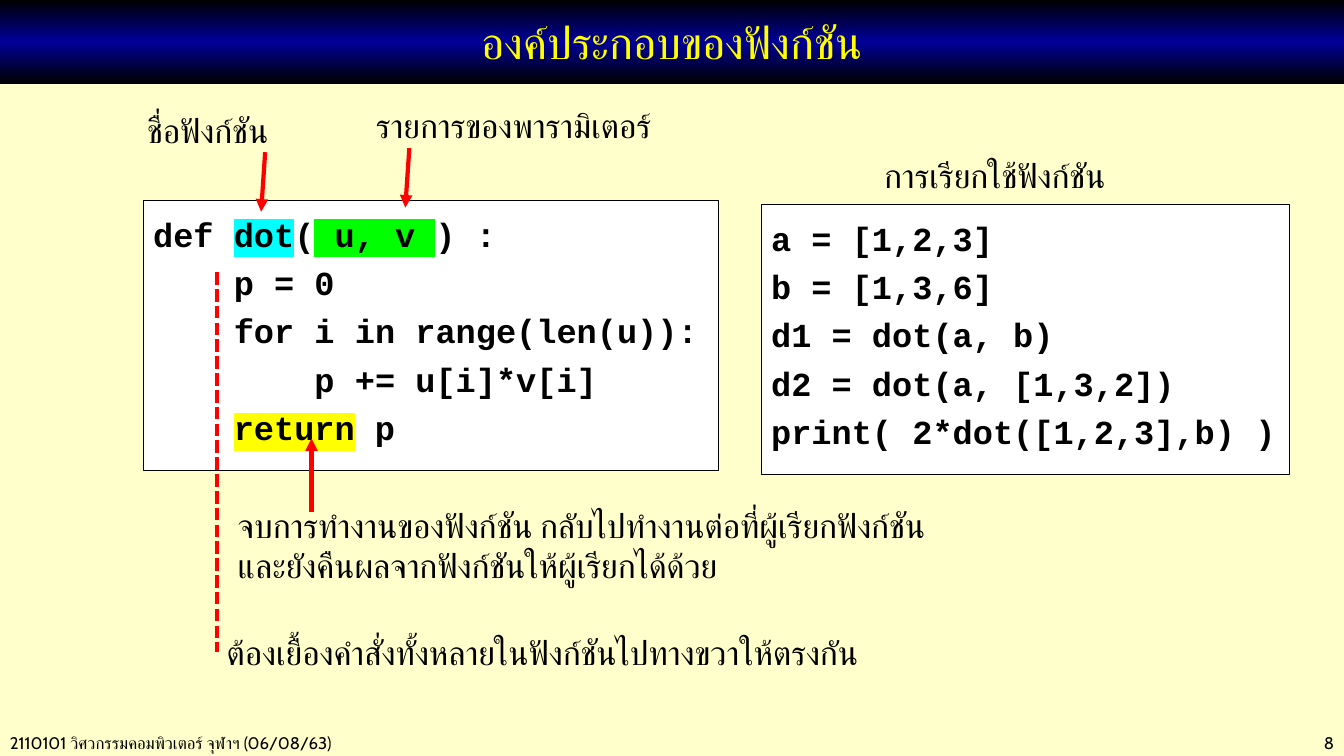
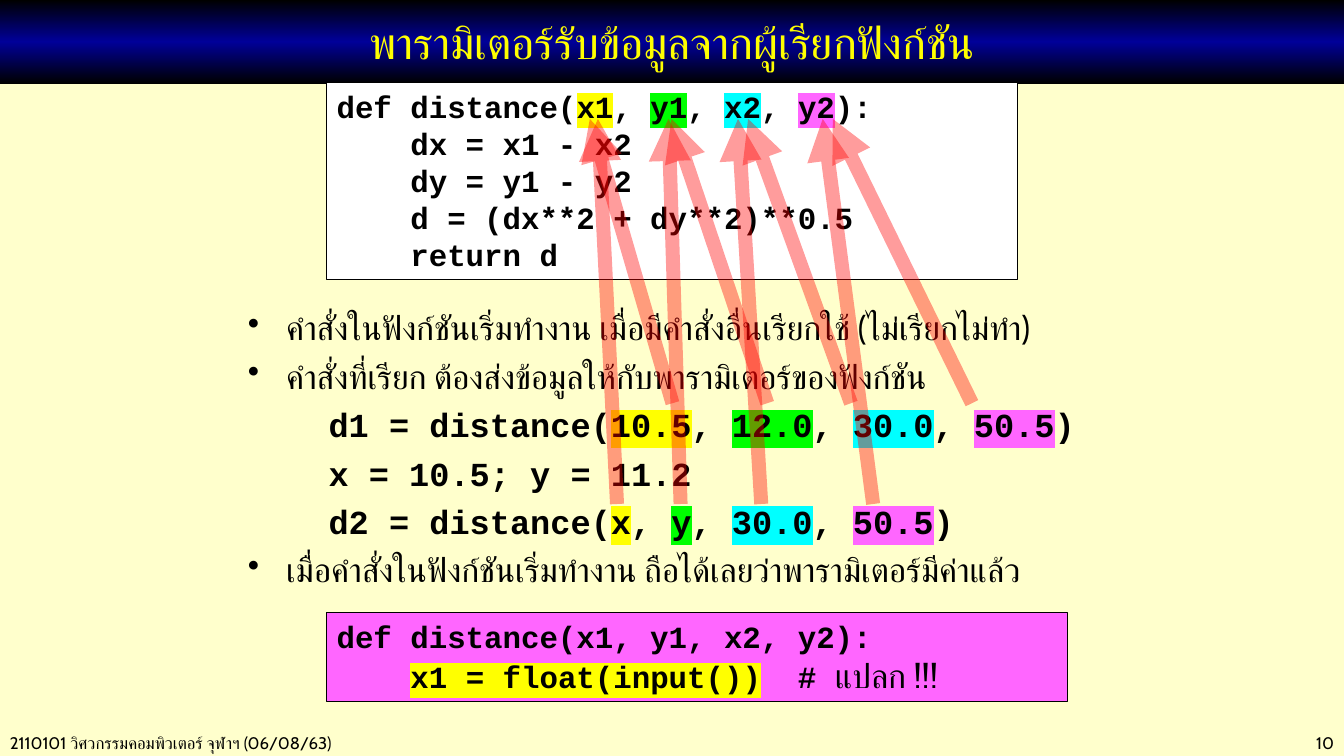
from lxml import etree
from pptx import Presentation
from pptx.dml.color import RGBColor
from pptx.enum.dml import MSO_LINE
from pptx.enum.shapes import MSO_CONNECTOR, MSO_SHAPE
from pptx.enum.text import MSO_ANCHOR, PP_ALIGN
from pptx.oxml.ns import qn
from pptx.util import Inches, Pt

BLACK, WHITE, RED, CREAM, NAVY = "000000", "FFFFFF", "FF0000", "FFFFCC", "000099"
YELLOW, GREEN, CYAN, PINK = "FFFF00", "00FF00", "00FFFF", "FF66FF"
rgb = RGBColor.from_string
CODE = {"font": "Courier New", "bold": True}


def add_box(page, at, fill=None):
    """Add a plain text box, or a black-edged rectangle if a fill is given."""
    place = [Inches(length) for length in at]
    if fill:
        box = page.shapes.add_shape(MSO_SHAPE.RECTANGLE, *place)
        box.shadow.inherit = False
        box.fill.solid()
        box.fill.fore_color.rgb = rgb(fill)
        box.line.color.rgb = rgb(BLACK)
        box.line.width = Pt(0.75)
    else:
        box = page.shapes.add_textbox(*place)
    box.text_frame.word_wrap = True
    box.text_frame.vertical_anchor = MSO_ANCHOR.TOP
    return box


def add_paragraph(box, *parts, font="Cabin", size=24, bold=False, color=BLACK,
                  align=PP_ALIGN.LEFT, spacing=1.0, bullet=False, indent=0):
    """Add a paragraph; each part is a string or a (string, highlight) pair."""
    frame = box.text_frame
    para = frame.paragraphs[0] if not frame.text else frame.add_paragraph()
    para.alignment = align
    para.line_spacing = spacing
    para.font.name = font
    para.font.size = Pt(size)
    para.font.bold = bold
    para.font.color.rgb = rgb(color)
    properties = para._p.pPr
    defaults = properties.find(qn("a:defRPr"))
    etree.SubElement(defaults, qn("a:cs"), typeface="Cabin")
    if indent:
        properties.set("marL", str(Inches(indent)))
    if bullet:
        properties.set("indent", str(-Inches(indent)))
        mark = etree.Element(qn("a:buChar"), char="•")
        defaults.addprevious(mark)
    for part in parts:
        text, highlight = (part, None) if isinstance(part, str) else part
        span = para.add_run()
        span.text = text
        if highlight:
            marker = etree.SubElement(span._r.get_or_add_rPr(), qn("a:highlight"))
            etree.SubElement(marker, qn("a:srgbClr"), val=highlight)
    return para


deck = Presentation()
deck.slide_width, deck.slide_height = Inches(13.33), Inches(7.5)
background = deck.slide_master.background.fill
background.solid()
background.fore_color.rgb = rgb(CREAM)

# Title band and footer on each page
pages = []
for title, number in [("องค์ประกอบของฟังก์ชัน", "8"),
                      ("พารามิเตอร์รับข้อมูลจากผู้เรียกฟังก์ชัน", "10")]:
    page = deck.slides.add_slide(deck.slide_layouts[6])
    pages.append(page)
    band = add_box(page, (0, 0, 13.33, 0.83), NAVY)
    band.line.fill.background()
    band.fill.gradient()
    band.fill.gradient_angle = 90
    stops = band._element.spPr.find(qn("a:gradFill")).find(qn("a:gsLst"))
    stops.clear()
    for position, color in [(0, BLACK), (50, NAVY), (100, BLACK)]:
        stop = etree.SubElement(stops, qn("a:gs"), pos=str(position * 1000))
        etree.SubElement(stop, qn("a:srgbClr"), val=color)
    band.text_frame.vertical_anchor = MSO_ANCHOR.MIDDLE
    add_paragraph(band, title, size=32, color=YELLOW, align=PP_ALIGN.CENTER)
    add_paragraph(add_box(page, (0, 7.22, 5.2, 0.3)),
                  "2110101 วิศวกรรมคอมพิวเตอร์ จุฬาฯ (06/08/63)", size=12)
    add_paragraph(add_box(page, (11.5, 7.22, 1.83, 0.3)),
                  number, size=12, align=PP_ALIGN.RIGHT)
anatomy, passing = pages

# Parts of a function: definition and calls
definition = [
    ["def ", ("dot", CYAN), "(", (" u, v ", GREEN), ") :"],
    ["    p = 0"],
    ["    for i in range(len(u)):"],
    ["        p += u[i]*v[i]"],
    ["    ", ("return", YELLOW), " p"],
]
calls = [["a = [1,2,3]"], ["b = [1,3,6]"], ["d1 = dot(a, b)"],
         ["d2 = dot(a, [1,3,2])"], ["print( 2*dot([1,2,3],b) )"]]
for at, lines in [((1.42, 1.99, 5.71, 2.68), definition),
                  ((7.55, 2.03, 5.24, 2.68), calls)]:
    box = add_box(anatomy, at, WHITE)
    for line in lines:
        add_paragraph(box, *line, spacing=1.2, **CODE)

# Labels around the code
for at, label in [
    ((1.36, 1.04, 1.72, 0.51), "ชื่อฟังก์ชัน"),
    ((3.63, 0.99, 3.35, 0.51), "รายการของพารามิเตอร์"),
    ((8.67, 1.49, 2.73, 0.51), "การเรียกใช้ฟังก์ชัน"),
    ((2.26, 4.96, 7.17, 0.91), "จบการทำงานของฟังก์ชัน กลับไปทำงานต่อที่ผู้เรียกฟังก์ชัน "
                               "และยังคืนผลจากฟังก์ชันให้ผู้เรียกได้ด้วย"),
    ((2.15, 6.22, 7.54, 0.51), "ต้องเยื้องคำสั่งทั้งหลายในฟังก์ชันไปทางขวาให้ตรงกัน"),
]:
    add_paragraph(add_box(anatomy, at), label)

# Passing parameters: definition
box = add_box(passing, (3.24, 0.82, 6.85, 1.95), WHITE)
for line in [
    ["def distance(", ("x1", YELLOW), ", ", ("y1", GREEN), ", ",
     ("x2", CYAN), ", ", ("y2", PINK), "):"],
    ["    dx = x1 - x2"],
    ["    dy = y1 - y2"],
    ["    d = (dx**2 + dy**2)**0.5"],
    ["    return d"],
]:
    add_paragraph(box, *line, size=22, **CODE)

# Explanation with example calls
POINT = {"bullet": True, "indent": 0.38}
EXAMPLE = {"indent": 0.8, **CODE}
box = add_box(passing, (2.36, 2.92, 9.31, 2.99))
for style, line in [
    (POINT, ["คำสั่งในฟังก์ชันเริ่มทำงาน เมื่อมีคำสั่งอื่นเรียกใช้ (ไม่เรียกไม่ทำ)"]),
    (POINT, ["คำสั่งที่เรียก ต้องส่งข้อมูลให้กับพารามิเตอร์ของฟังก์ชัน"]),
    (EXAMPLE, ["d1 = distance(", ("10.5", YELLOW), ", ", ("12.0", GREEN), ", ",
               ("30.0", CYAN), ", ", ("50.5", PINK), ")"]),
    (EXAMPLE, ["x = 10.5; y = 11.2"]),
    (EXAMPLE, ["d2 = distance(", ("x", YELLOW), ", ", ("y", GREEN), ", ",
               ("30.0", CYAN), ", ", ("50.5", PINK), ")"]),
    (POINT, ["เมื่อคำสั่งในฟังก์ชันเริ่มทำงาน ถือได้เลยว่าพารามิเตอร์มีค่าแล้ว"]),
]:
    add_paragraph(box, *line, spacing=1.2, **style)

# Odd redefinition of a parameter
box = add_box(passing, (3.24, 6.08, 7.35, 0.88), PINK)
add_paragraph(box, "def distance(x1, y1, x2, y2):", size=22, **CODE)
para = add_paragraph(box, "    ", ("x1 = float(input())", YELLOW), "  # ", size=22, **CODE)
remark = para.add_run()
remark.text = "แปลก !!!"
remark.font.name = "Cabin"
remark.font.size = Pt(24)
remark.font.bold = False

# Arrows and the indent guide: page, start, end, width, opacity, dashed
lines = [
    (anatomy, (2.63, 1.51), (2.59, 2.1), 3, 100, False),
    (anatomy, (4.06, 1.47), (4.02, 2.06), 3, 100, False),
    (anatomy, (3.09, 5.08), (3.09, 4.35), 3, 100, False),
    (anatomy, (2.15, 2.7), (2.15, 6.47), 3, 100, True),
]
for top, ends in [(4, [(6.67, 5.85), (7.61, 6.66), (8.44, 7.42), (9.64, 8.26)]),
                  (5, [(6.12, 5.93), (6.75, 6.63), (7.55, 7.32), (8.66, 8.16)])]:
    for argument, parameter in ends:
        lines.append((passing, (argument, top), (parameter, 1.18), 10, 39, False))
for page, start, end, width, opacity, dashed in lines:
    line = page.shapes.add_connector(
        MSO_CONNECTOR.STRAIGHT, *[Inches(length) for length in start + end])
    line.line.color.rgb = rgb(RED)
    line.line.width = Pt(width)
    outline = line.line._get_or_add_ln()
    if opacity < 100:
        color = outline.find(qn("a:solidFill")).find(qn("a:srgbClr"))
        etree.SubElement(color, qn("a:alpha"), val=str(opacity * 1000))
    if dashed:
        line.line.dash_style = MSO_LINE.SQUARE_DOT
        outline.find(qn("a:prstDash")).set("val", "sysDash")
    else:
        etree.SubElement(outline, qn("a:tailEnd"), type="triangle")
    etree.SubElement(line._element.spPr, qn("a:effectLst"))

deck.save("out.pptx")
